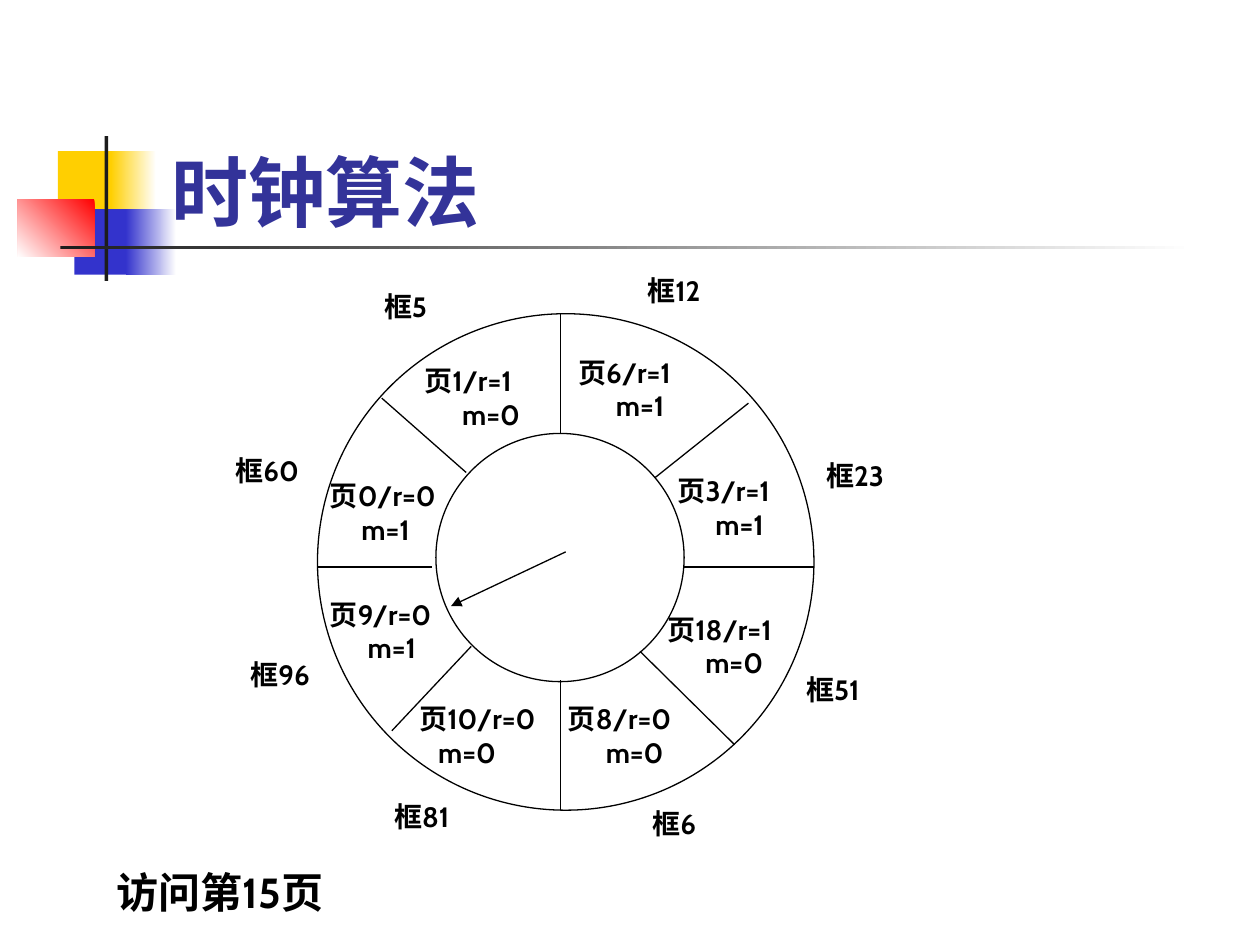
from lxml import etree
from pptx import Presentation, util as u
from pptx.dml.color import RGBColor
from pptx.enum import shapes, text
from pptx.oxml import ns

COLS = 100
deck = Presentation()
deck.slide_width, deck.slide_height = u.Inches(10), u.Inches(7.5)
CELL = deck.slide_width / COLS
slide = deck.slides.add_slide(deck.slide_layouts[6])
KIND = shapes.MSO_SHAPE


def cells(*nums):
    """Turn grid cells into lengths."""
    return [u.Emu(round(n * CELL)) for n in nums]


def shift(box, x, y):
    """Move a point from a region's box to the slide grid."""
    return box[0] + x, box[1] + y


def paint(code):
    """Give the colour for a hex string."""
    return RGBColor.from_string(code)


def block(box, x, y, w, h, fill, kind=KIND.RECTANGLE, fade=None, line=None):
    """Add a filled shape; fade is the angle of a gradient to white."""
    form = slide.shapes.add_shape(kind, *cells(*shift(box, x, y), w, h))
    form.shadow.inherit = False
    if fade is None:
        form.fill.solid()
        form.fill.fore_color.rgb = paint(fill)
    else:
        form.fill.gradient()
        form.fill.gradient_angle = fade
        for stop, pos, code in zip(form.fill.gradient_stops, (0, 1), (fill, "FFFFFF")):
            stop.position = pos
            stop.color.rgb = paint(code)
    if line:
        form.line.color.rgb = paint(line)
        form.line.width = u.Pt(0.75)
    else:
        form.line.fill.background()


def stroke(box, x1, y1, x2, y2, arrow=False):
    """Add a thin black line, with an arrowhead at its end if asked."""
    ends = cells(*shift(box, x1, y1), *shift(box, x2, y2))
    wire = slide.shapes.add_connector(shapes.MSO_CONNECTOR.STRAIGHT, *ends)
    wire.line.color.rgb = paint("000000")
    wire.line.width = u.Pt(0.75)
    if arrow:
        etree.SubElement(wire.line._get_or_add_ln(), ns.qn("a:tailEnd"), type="triangle")
    etree.SubElement(wire._element.spPr, ns.qn("a:effectLst"))


def write(box, x, y, w, h, *lines, size=16, color="000000", indent=0, low=False):
    """Add bold text, one paragraph a line, indenting those after the first."""
    form = slide.shapes.add_textbox(*cells(*shift(box, x, y), w, h))
    frame = form.text_frame
    frame.word_wrap = True
    if low:
        frame.vertical_anchor = text.MSO_ANCHOR.BOTTOM
    for i, words in enumerate(lines):
        para = frame.add_paragraph() if i else frame.paragraphs[0]
        if i:
            para._p.get_or_add_pPr().set("marL", str(cells(indent)[0]))
        run = para.add_run()
        run.text = words
        run.font.name, run.font.size, run.font.bold = "Cabin", u.Pt(size), True
        run.font.color.rgb = paint(color)


def mark(box):
    """Draw the coloured squares and the crossing bars."""
    for x, y, w, h, fill, fade in (
        (3.2, 1.2, 4.8, 5.2, "FFCF01", None),
        (7.4, 1.2, 3.6, 5.2, "FFCF01", 0),
        (4.5, 5.8, 4.6, 5.2, "3333CC", None),
        (8.6, 5.8, 4, 5.2, "3333CC", 0),
        (0, 5, 6.1, 4.6, "FF0000", 225),
        (6.9, 0, 0.3, 11.5, "1C1C1C", None),
        (3.4, 8.7, 90, 0.3, "1C1C1C", 0),
    ):
        block(box, x, y, w, h, fill, fade=fade)


def clock(box):
    """Draw the ring of page frames with its spokes, labels and hand."""
    side = box[2]
    for x, y, d in ((0, 0, side), (9.4, 9.5, side / 2)):
        block(box, x, y, d, d, "FFFFFF", kind=KIND.OVAL, line="000000")
    for ends in (
        (19.3, 29.1, 19.3, side), (19.3, 0, 19.3, 9.5),
        (0, 20.1, 9.1, 20.1), (29.1, 20.1, side, 20.1),
        (26.8, 13, 34.2, 7.1), (25.6, 26.8, 33.1, 34.2),
        (12.2, 26.4, 5.9, 33.1), (5.1, 6.7, 11.8, 12.6),
    ):
        stroke(box, *ends)
    for page, r, m, x, y, w, indent in (
        (6, 1, 1, 19.7, 2.8, 11.8, 3),
        (3, 1, 1, 27.6, 12.2, 11.4, 3),
        (18, 1, 0, 26.8, 23.2, 12.6, 3),
        (8, 0, 0, 18.9, 30.3, 11.4, 3),
        (10, 0, 0, 7.1, 30.3, 13.4, 1.5),
        (9, 0, 1, 0, 22, 11.8, 3),
        (0, 0, 1, 0, 12.6, 11.4, 2.5),
        (1, 1, 0, 7.5, 3.5, 11.8, 3),
    ):
        write(box, x, y, w, 6.4, f"页{page}/r={r}", f"m={m}", indent=indent)
    stroke(box, 19.7, 18.9, 10.6, 23.2, arrow=True)
    for num, x, y, w, h in (
        (12, 25.2, -3.7, 7.1, 6.4), (23, 39.4, 11, 8.7, 3.7),
        (51, 37.8, 28, 8.7, 3.7), (6, 25.6, 38.6, 6.7, 3.7),
        (81, 5.1, 38.1, 7.1, 6.4), (96, -6.3, 26.8, 7.5, 3.7),
        (60, -7.5, 10.6, 7.1, 6.4), (5, 4.3, -2.4, 6.3, 3.7),
    ):
        write(box, x, y, w, h, f"框{num}")


def main():
    """Build the slide and save it."""
    mark((1.4, 10.8, 93.4, 11.5))
    clock((25.2, 24.9, 39.4, 39.4))
    write((8.3, 68.3), 0, 0, 20.1, 9, "访问第15页", size=24)
    write((12.6, 6.8), 0, 0, 85.2, 12.5, "时钟算法", size=44, color="333399", low=True)
    deck.save("out.pptx")


if __name__ == "__main__":
    main()
